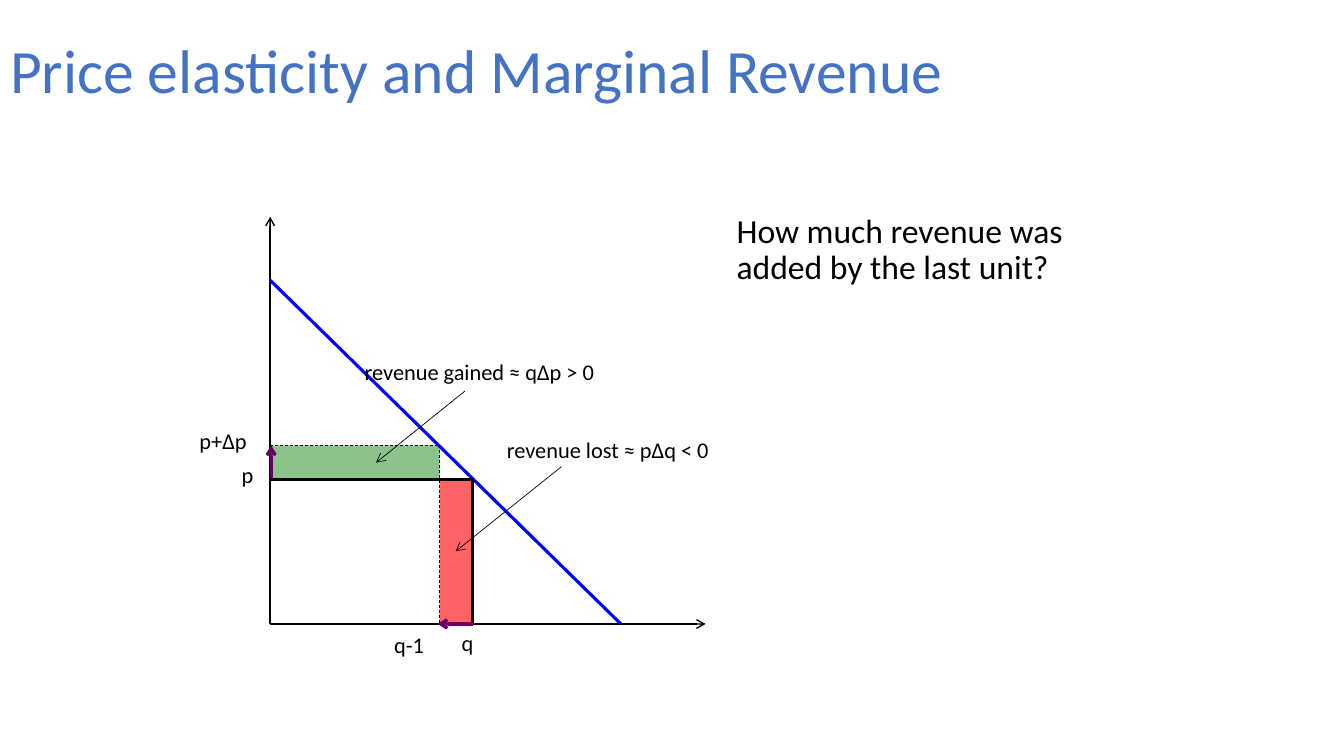
from lxml.etree import SubElement
from pptx import Presentation
from pptx.dml.color import RGBColor
from pptx.enum.dml import MSO_LINE
from pptx.enum.shapes import MSO_CONNECTOR, MSO_SHAPE
from pptx.enum.text import MSO_ANCHOR, MSO_AUTO_SIZE, PP_ALIGN
from pptx.oxml.ns import qn
from pptx.util import Pt

COLORS = {
    "title": "4472C4",
    "text": "000000",
    "axis": "000000",
    "demand": "0000FF",
    "change": "660066",
    "gain": "008000",
    "loss": "FF0000",
}
FONT = "Calibri"


def rgb(name):
    return RGBColor.from_string(COLORS[name])


def write_text(shape, text, size=16, color="text", spacing=None, anchor=MSO_ANCHOR.TOP, wrap=True):
    frame = shape.text_frame
    frame.word_wrap = wrap
    frame.auto_size = MSO_AUTO_SIZE.NONE
    frame.vertical_anchor = anchor
    frame.text = text
    paragraph = frame.paragraphs[0]
    paragraph.alignment = PP_ALIGN.LEFT
    paragraph.line_spacing = spacing
    paragraph.font.name = FONT
    paragraph.font.size = Pt(size)
    paragraph.font.color.rgb = rgb(color)


def add_text(slide, text, left, top, width, height, **text_format):
    box = slide.shapes.add_textbox(Pt(left), Pt(top), Pt(width), Pt(height))
    write_text(box, text, **text_format)


def add_line(slide, start, end, color="axis", width=1, arrow=False, dashed=False):
    points = [Pt(value) for value in (*start, *end)]
    connector = slide.shapes.add_connector(MSO_CONNECTOR.STRAIGHT, *points)
    connector.line.color.rgb = rgb(color)
    connector.line.width = Pt(width)
    if dashed:
        connector.line.dash_style = MSO_LINE.DASH
    properties = connector._element.spPr
    if arrow:
        SubElement(properties.find(qn("a:ln")), qn("a:tailEnd"), type="arrow")
    SubElement(properties, qn("a:effectLst"))


def add_area(slide, left, top, right, bottom, color, opacity):
    area = slide.shapes.add_shape(
        MSO_SHAPE.RECTANGLE, Pt(left), Pt(top), Pt(right - left), Pt(bottom - top))
    area.shadow.inherit = False
    area.line.fill.background()
    area.fill.solid()
    area.fill.fore_color.rgb = rgb(color)
    fill_color = area._element.spPr.find(qn("a:solidFill"))[0]
    SubElement(fill_color, qn("a:alpha"), val=str(opacity * 1000))


def place_title(slide, left, top, width, height):
    title = slide.shapes.title
    title.left, title.top, title.width, title.height = map(Pt, (left, top, width, height))
    write_text(title, "Price elasticity and Marginal Revenue", size=44, color="title",
               spacing=0.9, anchor=MSO_ANCHOR.MIDDLE)


def draw_demand_diagram(slide, left, top, width, height):
    right, bottom = left + width, top + height
    origin = (left, bottom)
    price, raised_price = bottom - 103, bottom - 127.5
    quantity, reduced_quantity = left + 144.7, left + 121

    # Revenue areas
    add_area(slide, reduced_quantity, price, quantity, bottom, "loss", 61)
    add_area(slide, left, raised_price, reduced_quantity, price, "gain", 46)

    # Axes and demand curve
    add_line(slide, origin, (left, top), arrow=True)
    add_line(slide, origin, (right, bottom), arrow=True)
    add_line(slide, (left, top + 45.4), (left + 250.5, bottom), color="demand", width=2.25)

    # Current and previous price and quantity
    for corner, guide in (
        ((quantity, price), {"width": 2.25}),
        ((reduced_quantity, raised_price), {"width": 0.5, "dashed": True}),
    ):
        add_line(slide, (left, corner[1]), corner, **guide)
        add_line(slide, corner, (corner[0], bottom), **guide)

    # Axis labels and area captions
    for text, label_left, label_top, label_width in (
        ("p", left - 27.4, price - 16.5, 33),
        ("p+∆p", left - 57.6, raised_price - 16.5, 63),
        ("q", quantity - 15.1, bottom, 33),
        ("q-1", reduced_quantity - 39.6, bottom + 1.5, 63),
        ("revenue gained ≈ q∆p > 0", left + 60.4, top + 97.2, 215),
        ("revenue lost ≈ p∆q < 0", left + 162, top + 153.4, 177),
    ):
        add_text(slide, text, label_left, label_top, label_width, 26.6)

    # Pointers from captions to areas
    add_line(slide, (left + 139, top + 124.6), (left + 75.6, top + 175.7), width=0.5, arrow=True)
    add_line(slide, (left + 208, top + 178.6), (left + 132.5, top + 239), width=0.5, arrow=True)

    # Changes in price and quantity
    change = {"color": "change", "width": 2.25, "arrow": True}
    add_line(slide, (left + 0.7, price - 1.5), (left + 0.7, raised_price), **change)
    add_line(slide, (quantity, bottom), (reduced_quantity - 1.4, bottom), **change)


def place_question(slide, left, top, width, height):
    add_text(slide, "How much revenue was added by the last unit?",
             left, top, width, height, size=24, spacing=0.9)


def main():
    presentation = Presentation()
    presentation.slide_width, presentation.slide_height = Pt(960), Pt(540)
    slide = presentation.slides.add_slide(presentation.slide_layouts[5])
    place_title(slide, 0, 0, 828, 104.4)
    draw_demand_diagram(slide, 193, 154.8, 311, 290.9)
    place_question(slide, 519.1, 149.8, 295.2, 360)
    presentation.save("out.pptx")


if __name__ == "__main__":
    main()
